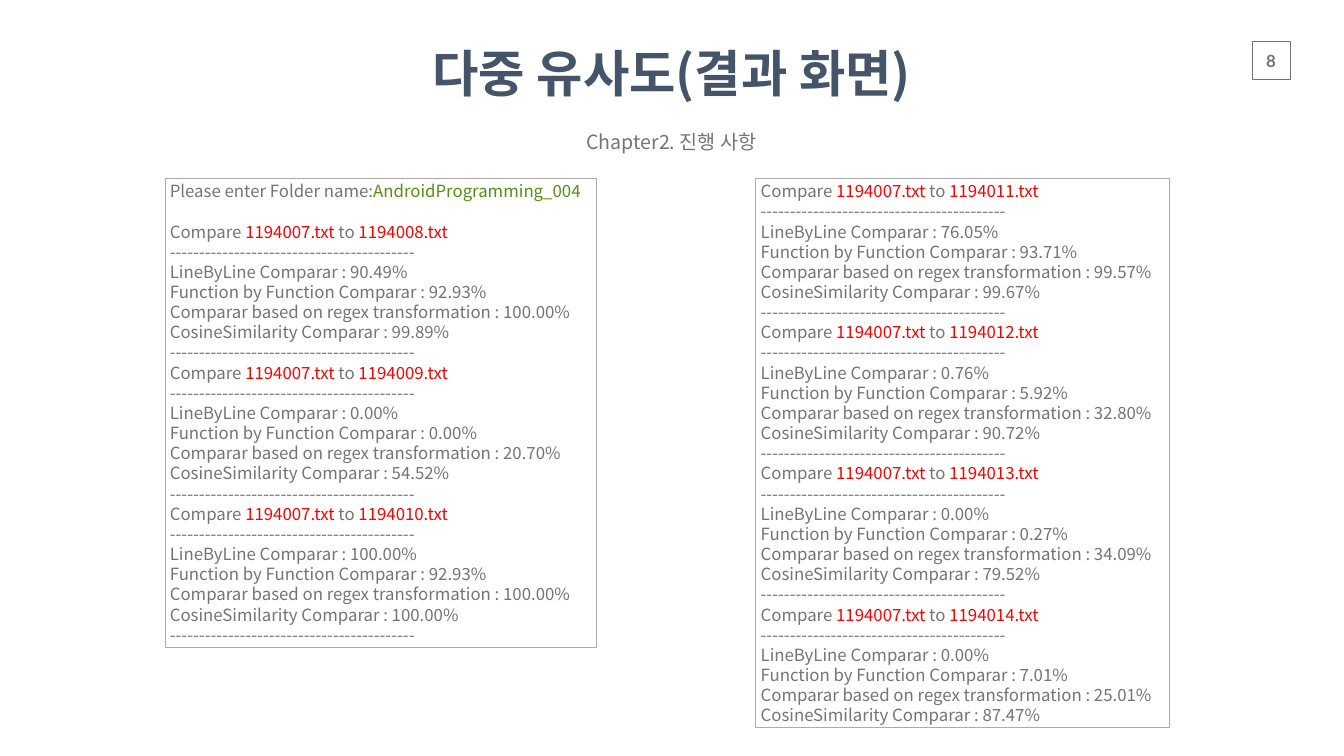
"""Build the slide of pairwise similarity results."""
from dataclasses import dataclass

from lxml.etree import SubElement
from pptx import Presentation
from pptx.dml.color import RGBColor
from pptx.enum.shapes import MSO_SHAPE
from pptx.enum.text import MSO_ANCHOR, MSO_AUTO_SIZE, PP_ALIGN
from pptx.oxml.ns import qn
from pptx.util import Inches, Pt

GREY, RED, GREEN, NAVY, EDGE = "737572", "FF0000", "568E10", "445469", "ABACAA"
SANS = "Noto Sans CJK KR"
BASE = "1194007.txt"
RULE = "-" * 42
TESTS = (
    "LineByLine Comparar",
    "Function by Function Comparar",
    "Comparar based on regex transformation",
    "CosineSimilarity Comparar",
)
PITCH = Pt(28.8)
LOG = {"size": Pt(24), "name": SANS}
HEAD = {"size": Pt(72), "name": SANS, "bold": True}
SUB = {"size": Pt(28), "name": SANS, "bold": False}
PAGE = {"size": Pt(24), "name": "Lato", "bold": True}
CENTRE = {"alignment": PP_ALIGN.CENTER}
LINE = {"line_spacing": PITCH, "alignment": PP_ALIGN.LEFT}


@dataclass
class Box:
    left: float
    top: float
    width: float
    height: float

    def dims(self) -> list:
        """Give the four lengths in slide units."""
        return [Inches(v) for v in (self.left, self.top, self.width, self.height)]


@dataclass
class Match:
    file: str
    rates: tuple


@dataclass
class Panel:
    box: Box
    matches: list
    folder: str = ""
    closed: bool = False


PANELS = [
    Panel(Box(3.27, 3.54, 8.56, 9.3), [
        Match("1194008.txt", ("90.49", "92.93", "100.00", "99.89")),
        Match("1194009.txt", ("0.00", "0.00", "20.70", "54.52")),
        Match("1194010.txt", ("100.00", "92.93", "100.00", "100.00")),
    ], "AndroidProgramming_004", True),
    Panel(Box(14.99, 3.54, 8.2, 10.9), [
        Match("1194011.txt", ("76.05", "93.71", "99.57", "99.67")),
        Match("1194012.txt", ("0.76", "5.92", "32.80", "90.72")),
        Match("1194013.txt", ("0.00", "0.27", "34.09", "79.52")),
        Match("1194014.txt", ("0.00", "7.01", "25.01", "87.47")),
    ]),
]


def put(item, values: dict) -> None:
    """Set each named value on the item."""
    for key, value in values.items():
        setattr(item, key, value)


def tint(target, code: str) -> None:
    """Colour a font or a line from a hex string."""
    target.fill.solid()
    target.fill.fore_color.rgb = RGBColor.from_string(code)


def write(frame, lines: list, font: dict, para: dict) -> None:
    """Write lines of (text, colour) runs into a text frame."""
    for num, runs in enumerate(lines):
        row = frame.add_paragraph() if num else frame.paragraphs[0]
        put(row, para)
        for text, code in runs:
            run = row.add_run()
            run.text = text
            put(run.font, font)
            tint(run.font, code)
            SubElement(run.font._element, qn("a:ea"), typeface=font["name"])


def setup(frame, side: float, edge: float, anchor) -> None:
    """Set the insets, anchor and wrap of a text frame."""
    put(frame, {
        "margin_left": Inches(side), "margin_right": Inches(side),
        "margin_top": Inches(edge), "margin_bottom": Inches(edge),
        "vertical_anchor": anchor, "word_wrap": False,
        "auto_size": MSO_AUTO_SIZE.NONE,
    })


def frame_box(slide, box: Box, code: str, weight: float):
    """Draw an unfilled outlined box."""
    shape = slide.shapes.add_shape(MSO_SHAPE.RECTANGLE, *box.dims())
    shape.shadow.inherit = False
    shape.fill.background()
    tint(shape.line, code)
    shape.line.width = Pt(weight)
    return shape


def label(slide, box: Box, text: str, font: dict, anchor) -> None:
    """Add one centred grey line of text."""
    frame = slide.shapes.add_textbox(*box.dims()).text_frame
    setup(frame, 0.2, 0.1, anchor)
    write(frame, [[(text, GREY)]], font, CENTRE)


def log_lines(panel: Panel) -> list:
    """List the lines of one result log."""
    lines = []
    if panel.folder:
        lines.append([("Please enter Folder name:", GREY), (panel.folder, GREEN)])
    for num, match in enumerate(panel.matches):
        if num:
            lines.append([(RULE, GREY)])
        lines.append([("Compare ", GREY), (BASE, RED), (" to ", GREY), (match.file, RED)])
        lines.append([(RULE, GREY)])
        lines += [[(f"{test} : {rate}%", GREY)] for test, rate in zip(TESTS, match.rates)]
    if panel.closed:
        lines.append([(RULE, GREY)])
    return lines


def draw_log(slide, panel: Panel) -> None:
    """Draw one outlined result log."""
    frame = frame_box(slide, panel.box, EDGE, 0.75).text_frame
    setup(frame, 0.1, 0.05, MSO_ANCHOR.TOP)
    write(frame, log_lines(panel), LOG, LINE)
    if panel.folder:
        frame.paragraphs[1].space_before = PITCH


def main() -> None:
    """Build and save the slide."""
    deck = Presentation()
    put(deck, {"slide_width": Inches(26.66), "slide_height": Inches(15)})
    slide = deck.slides.add_slide(deck.slide_layouts[5])
    frame_box(slide, Box(24.84, 0.82, 0.75, 0.75), GREY, 1)
    label(slide, Box(24.26, 0.9, 1.9, 0.6), "8", PAGE, MSO_ANCHOR.TOP)
    label(slide, Box(11.25, 2.45, 4.13, 0.73), "Chapter2. 진행 사항", SUB, MSO_ANCHOR.MIDDLE)
    title = slide.shapes.title
    put(title, dict(zip(("left", "top", "width", "height"), Box(7.64, 0.7, 11.37, 1.47).dims())))
    setup(title.text_frame, 0.27, 0.13, MSO_ANCHOR.MIDDLE)
    write(title.text_frame, [[("다중 유사도(결과 화면)", NAVY)]], HEAD, CENTRE)
    for panel in PANELS:
        draw_log(slide, panel)
    deck.save("out.pptx")


if __name__ == "__main__":
    main()
